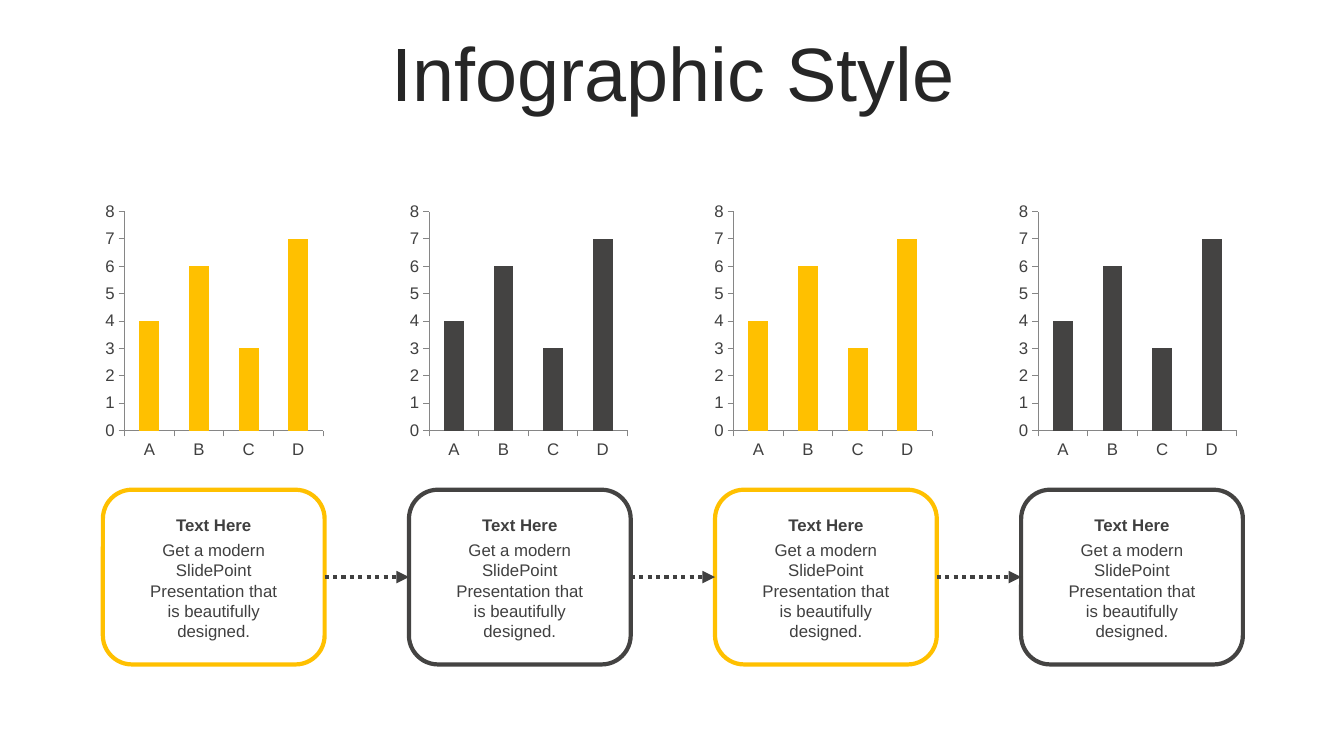
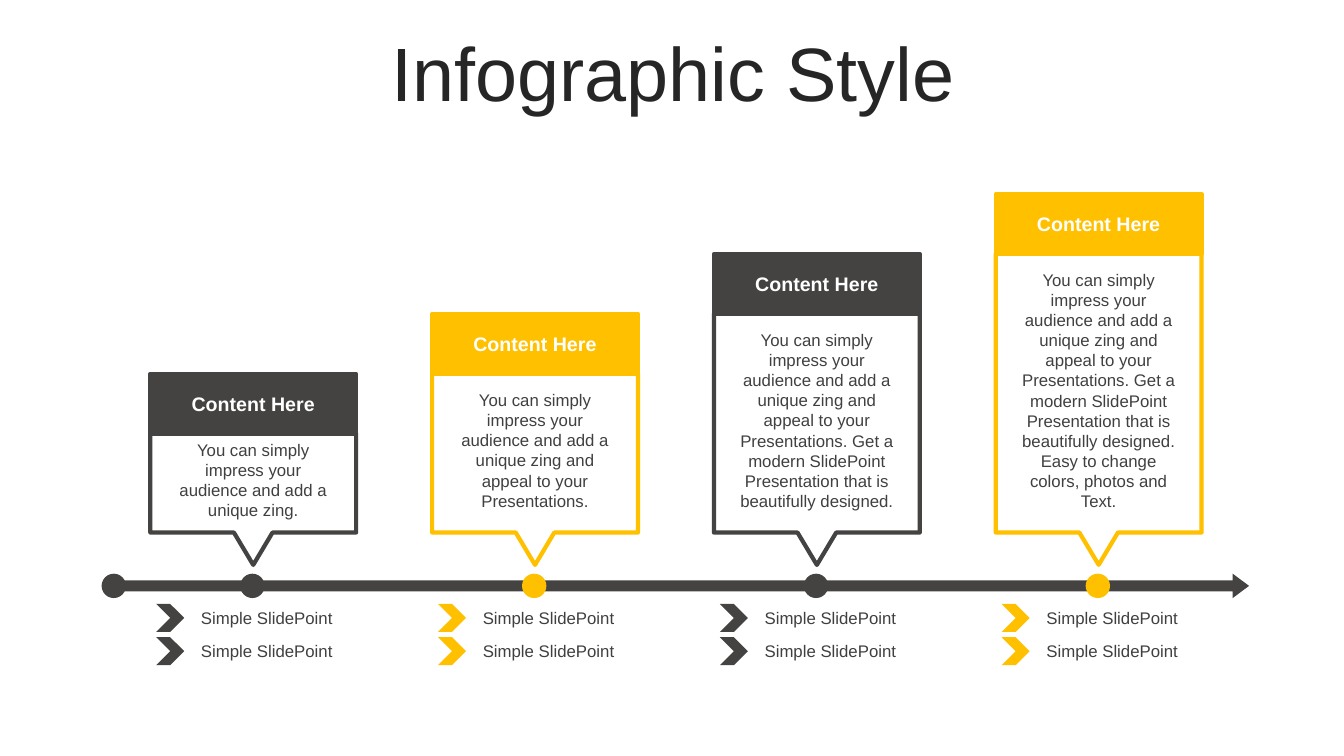
import pptx
import pptx.util
import pptx.chart.data
import pptx.dml.color
import pptx.enum.chart
import pptx.enum.dml
import pptx.enum.shapes
import pptx.enum.text
import pptx.oxml

COLS, ROWS = 160, 90
CELL = pptx.util.Inches(1) / 12
HUES = {"gold": "FFC000", "dark": "444342", "ink": "404040",
        "title": "262626", "white": "FFFFFF", "axis": "868686"}
PLAIN = {"name": "Arial", "size": pptx.util.Pt(12), "bold": False}
BOLD = {**PLAIN, "bold": True}
HEAD = {**BOLD, "size": pptx.util.Pt(14)}
TITLE = {**PLAIN, "size": pptx.util.Pt(54)}
KIND = pptx.enum.shapes.MSO_SHAPE
TOP = pptx.enum.text.MSO_ANCHOR.TOP
MID = pptx.enum.text.MSO_ANCHOR.MIDDLE

CARD = "Get a modern SlidePoint Presentation that is beautifully designed."
START = "You can simply impress your audience and add a unique zing"
MORE = START + " and appeal to your Presentations."
FULL = MORE + " " + CARD
NOTES = [START + ".", MORE, FULL, FULL + " Easy to change colors, photos and Text."]


def emu(*cells):
    return [round(n * CELL) for n in cells]


def hue(name):
    return pptx.dml.color.RGBColor.from_string(HUES[name])


def style(font, look, tint):
    for key, value in look.items():
        setattr(font, key, value)
    font.color.rgb = hue(tint)


def write(shape, words, look, tint="ink", anchor=TOP):
    frame = shape.text_frame
    frame.word_wrap = True
    frame.auto_size = pptx.enum.text.MSO_AUTO_SIZE.NONE
    frame.vertical_anchor = anchor
    para = frame.paragraphs[0]
    para.text = words
    para.alignment = pptx.enum.text.PP_ALIGN.CENTER
    style(para.runs[0].font, look, tint)
    return para


def label(slide, box, words, look, anchor=TOP):
    write(slide.shapes.add_textbox(*emu(*box)), words, look, anchor=anchor)


def paint(shape, fill=None, line=None):
    shape.shadow.inherit = False
    if fill:
        shape.fill.solid()
        shape.fill.fore_color.rgb = hue(fill)
    else:
        shape.fill.background()
    if line:
        shape.line.color.rgb = hue(line)
        shape.line.width = pptx.util.Pt(3)
    else:
        shape.line.fill.background()


def block(slide, kind, box, fill, line=None):
    shape = slide.shapes.add_shape(kind, *emu(*box))
    paint(shape, fill, line)
    return shape


def page(deck):
    slide = deck.slides.add_slide(deck.slide_layouts[5])
    title = slide.shapes.title
    title.left, title.top, title.width, title.height = emu(4.2, 4.4, 151.9, 9.5)
    para = write(title, "Infographic Style", TITLE, "title", MID)
    para.line_spacing = 0.9
    para.space_before = pptx.util.Pt(0)
    return slide


def graph(slide, box, tint):
    data = pptx.chart.data.CategoryChartData()
    data.categories = list("ABCD")
    data.add_series("Series 1", (4, 6, 3, 7))
    kind = pptx.enum.chart.XL_CHART_TYPE.COLUMN_STACKED
    chart = slide.shapes.add_chart(kind, *emu(*box), data).chart
    chart.has_legend = False
    chart.has_title = False
    style(chart.font, PLAIN, "ink")
    plot = chart.plots[0]
    plot.gap_width, plot.overlap, plot.vary_by_categories = 150, 100, False
    fill = plot.series[0].format.fill
    fill.solid()
    fill.fore_color.rgb = hue(tint)
    for axis in (chart.category_axis, chart.value_axis):
        axis.has_major_gridlines = False
        axis.major_tick_mark = pptx.enum.chart.XL_TICK_MARK.OUTSIDE
        axis.format.line.color.rgb = hue("axis")
        style(axis.tick_labels.font, PLAIN, "ink")
    scale = chart.value_axis
    scale.minimum_scale, scale.maximum_scale, scale.major_unit = 0, 8, 1


def card(slide, box, tint):
    x, y, w, h = box
    frame = block(slide, KIND.ROUNDED_RECTANGLE, box, "white", tint)
    inner = x + (w - 18) / 2
    label(slide, (inner, y + 2.4, 18, 3.6), "Text Here", BOLD)
    label(slide, (inner, y + 5.4, 18, 13.3), CARD, PLAIN)
    return frame


def link(slide, start, end):
    kind = pptx.enum.shapes.MSO_CONNECTOR.STRAIGHT
    line = slide.shapes.add_connector(kind, 0, 0, 0, 0)
    line.begin_connect(start, 3)
    line.end_connect(end, 1)
    line.line.color.rgb = hue("ink")
    line.line.width = pptx.util.Pt(3)
    line.line.dash_style = pptx.enum.dml.MSO_LINE.ROUND_DOT
    make = pptx.oxml.ns.qn
    tip = line.line._get_or_add_ln().makeelement(make("a:tailEnd"), {"type": "triangle"})
    line.line._get_or_add_ln().append(tip)
    props = line._element.spPr
    props.append(props.makeelement(make("a:effectLst"), {}))


def charts(deck):
    slide = page(deck)
    tints = ["gold", "dark"] * 2
    cards = [card(slide, (12.25 + 36.44 * i, 58.3, 26.4, 20.8), tint)
             for i, tint in enumerate(tints)]
    for start, end in zip(cards, cards[1:]):
        link(slide, start, end)
    for i, tint in enumerate(tints):
        graph(slide, (12 + 36.25 * i, 23.5, 27, 31.7), tint)


def bubble(slide, box, tint, words):
    x, y, w, h = box
    head, low, mid, half = 7.1, y + h - 3.85, x + w / 2, 2.3
    neck = y + head
    spots = [(x, neck), (x + w, neck), (x + w, low), (mid + half, low),
             (mid, y + h), (mid - half, low), (x, low)]
    build = slide.shapes.build_freeform(*emu(*spots[0]), scale=1.0)
    build.add_line_segments([emu(*spot) for spot in spots[1:]], close=True)
    paint(build.convert_to_shape(), line=tint)
    top = block(slide, KIND.RECTANGLE, (x, y, w, head), tint, tint)
    write(top, "Content Here", HEAD, "white", MID)
    label(slide, (mid - 10.45, neck, 20.9, low - neck - 0.7), words, PLAIN, MID)


def items(slide, box, tint):
    x, y, w, row = box
    for i in range(2):
        top = y + row * i
        block(slide, KIND.CHEVRON, (x, top, 3.33, 3.33), tint)
        label(slide, (x + 3.26, top - 0.2, w - 3.26, 3.6), "Simple SlidePoint", PLAIN)


def steps(deck):
    slide = page(deck)
    wide, base, dot = 24.5, 68.3, 2.9
    arrow = block(slide, KIND.RIGHT_ARROW, (14.5, base, 134.2, dot), "dark")
    arrow.adjustments[0], arrow.adjustments[1] = 0.45, 0.67
    block(slide, KIND.OVAL, (12.1, base, dot, dot), "dark")
    for i, words in enumerate(NOTES):
        tint = ("dark", "gold")[i % 2]
        x, y = 17.9 + 33.55 * i, 44.5 - 7.13 * i
        bubble(slide, (x, y, wide, 67.25 - y), tint, words)
        block(slide, KIND.OVAL, (x + (wide - dot) / 2 - 0.1, base, dot, dot), tint)
        items(slide, (x + 0.7, 71.9, 23.06, 3.96), tint)


def main():
    deck = pptx.Presentation()
    deck.slide_width, deck.slide_height = emu(COLS, ROWS)
    charts(deck)
    steps(deck)
    deck.save("out.pptx")


if __name__ == "__main__":
    main()
